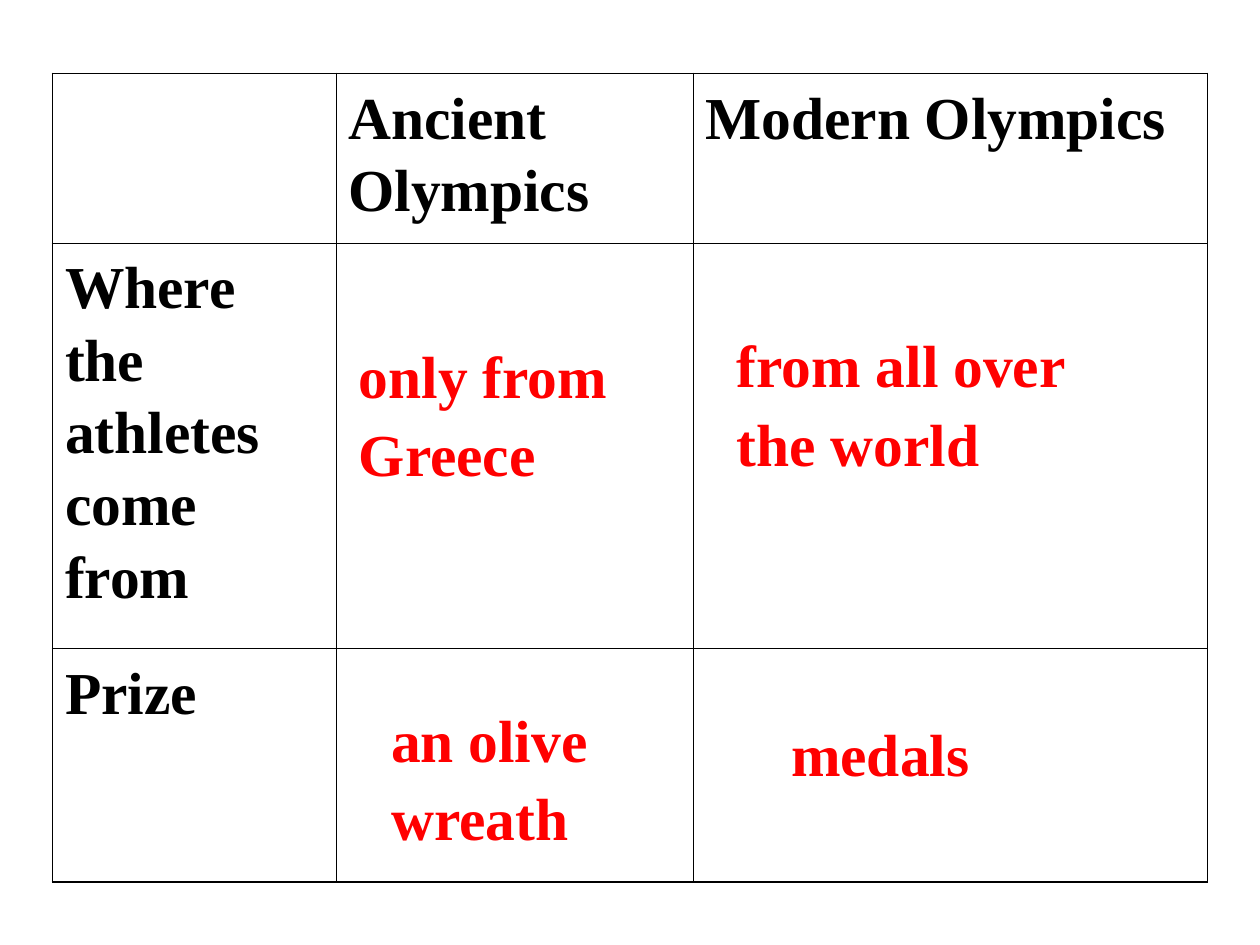
from pptx import Presentation
from pptx.dml.color import RGBColor
from pptx.enum.text import MSO_AUTO_SIZE
from pptx.oxml import parse_xml
from pptx.oxml.ns import nsdecls
from pptx.util import Pt

COLORS = {"ink": "000000", "answer": "FF0000"}
THIN, THICK = 0.45, 1.08


class Deck:
    font = "Times New Roman"
    size = 34

    def __init__(self, wide, high):
        self.prs = Presentation()
        self.prs.slide_width, self.prs.slide_height = Pt(wide), Pt(high)
        self.slide = self.prs.slides.add_slide(self.prs.slide_layouts[6])

    def style(self, frame, color, pitch=1.1):
        for para in frame.paragraphs:
            para.line_spacing = pitch
            for run in para.runs:
                run.font.name = self.font
                run.font.size = Pt(self.size)
                run.font.bold = True
                run.font.color.rgb = RGBColor.from_string(COLORS[color])

    def border(self, cell, widths):
        props = cell._tc.get_or_add_tcPr()
        for spot, (side, width) in enumerate(widths.items()):
            props.insert(spot, parse_xml(
                f'<a:ln{side} {nsdecls("a")} w="{Pt(width)}"><a:solidFill>'
                f'<a:srgbClr val="{COLORS["ink"]}"/></a:solidFill></a:ln{side}>'))

    def table(self, left, top, cols, rows, texts):
        grid = self.slide.shapes.add_table(
            len(rows), len(cols), Pt(left), Pt(top),
            Pt(sum(cols)), Pt(sum(rows))).table
        grid.first_row = grid.horz_banding = False
        for col, width in zip(grid.columns, cols):
            col.width = Pt(width)
        for row, height in zip(grid.rows, rows):
            row.height = Pt(height)
        for r, line in enumerate(texts):
            for c, text in enumerate(line):
                cell = grid.cell(r, c)
                cell.fill.background()
                if text:
                    cell.text_frame.text = text
                    self.style(cell.text_frame, "ink")
                # Outer edges are thick, inner ones thin
                edges = {"L": c == 0, "R": c == len(cols) - 1,
                         "T": r == 0, "B": r == len(rows) - 1}
                self.border(cell, {side: THICK if outer else THIN
                                   for side, outer in edges.items()})

    def text(self, left, top, width, height, words, pitch=1.1, wrap=True):
        box = self.slide.shapes.add_textbox(
            Pt(left), Pt(top), Pt(width), Pt(height))
        frame = box.text_frame
        frame.word_wrap = wrap
        frame.auto_size = MSO_AUTO_SIZE.SHAPE_TO_FIT_TEXT
        frame.text = words
        self.style(frame, "answer", pitch)


def main():
    deck = Deck(720, 540)

    # Comparison table
    deck.table(30, 42, [162, 204, 294], [97, 231.5, 133.5], [
        ["", "Ancient Olympics", "Modern Olympics"],
        ["Where the athletes come from", "", ""],
        ["Prize", "", ""],
    ])

    # Answers over the empty cells
    deck.text(414, 180, 228, 97, "from all over the world")
    deck.text(216.5, 394, 180, 97, "an olive\nwreath")
    deck.text(445, 394, 118, 60.5, "medals", pitch=1.3, wrap=False)
    deck.text(198, 186, 186, 97, "only from Greece")

    deck.prs.save("out.pptx")


if __name__ == "__main__":
    main()
